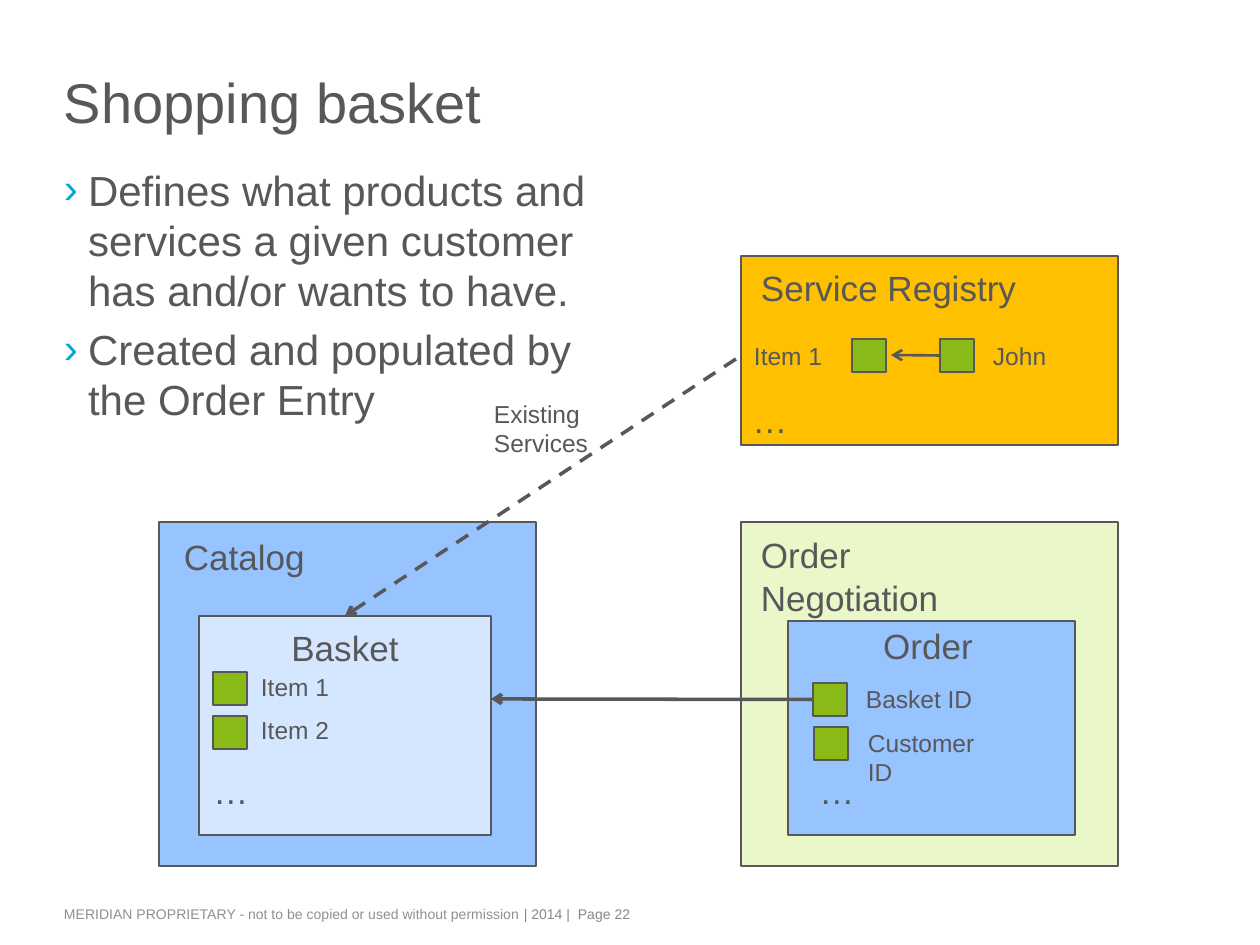
from lxml import etree
from pptx import Presentation, util as u
from pptx.dml.color import RGBColor
from pptx.enum import dml, shapes, text
from pptx.oxml.ns import qn

PX_PER_INCH = 126
FONT = "Arial"
COLORS = {
    "ink": "58585A", "bullet": "00A9D4", "notice": "8F9093", "page": "87888A",
    "blue": "97C3FF", "pale_blue": "D5E7FF", "pale_green": "EAF8C9",
    "amber": "FFC000", "green": "89BA17",
}
PANEL_WIDTH = 377
HEADING, LABEL = 20, 14


def px(value):
    return u.Emu(round(value * 914400 / PX_PER_INCH))


def rgb(name):
    return RGBColor.from_string(COLORS[name])


def style_font(font, size, color="ink"):
    font.name = FONT
    font.size = u.Pt(size)
    font.color.rgb = rgb(color)


def add_frame(page, left, top, width, height, inset=(13, 6)):
    frame = page.shapes.add_textbox(*map(px, (left, top, width, height))).text_frame
    frame.word_wrap = True
    frame.margin_left = frame.margin_right = px(inset[0])
    frame.margin_top = frame.margin_bottom = px(inset[1])
    return frame


def add_label(page, words, left, top, width=163, height=43, size=LABEL, centered=False):
    para = add_frame(page, left, top, width, height).paragraphs[0]
    para.text = words
    para.alignment = text.PP_ALIGN.CENTER if centered else text.PP_ALIGN.LEFT
    style_font(para.font, size)


def add_heading(page, words, left, top, width, centered=False):
    add_label(page, words, left, top, width, 50, HEADING, centered)


def add_ellipsis(page, left, top):
    add_heading(page, "…", left, top, 68, centered=True)


def add_box(page, fill, left, top, width, height):
    box = page.shapes.add_shape(
        shapes.MSO_SHAPE.RECTANGLE, *map(px, (left, top, width, height)))
    box.shadow.inherit = False
    box.fill.solid()
    box.fill.fore_color.rgb = rgb(fill)
    box.line.color.rgb = rgb("ink")
    box.line.width = u.Pt(0.75)
    return box


def add_square(page, left, top):
    return add_box(page, "green", left, top, 34, 33)


def add_arrow(page, start, end, width=2, dashed=False):
    arrow = page.shapes.add_connector(
        shapes.MSO_CONNECTOR.STRAIGHT, *map(px, start + end))
    arrow.line.color.rgb = rgb("ink")
    arrow.line.width = u.Pt(width)
    if dashed:
        arrow.line.dash_style = dml.MSO_LINE.DASH
    etree.SubElement(arrow.line._get_or_add_ln(), qn("a:tailEnd"), type="arrow")
    etree.SubElement(arrow._element.spPr, qn("a:effectLst"))
    return arrow


def add_bullet(para, indent):
    props = para._p.get_or_add_pPr()
    props.set("marL", str(px(indent)))
    props.set("indent", str(-px(indent)))
    color = etree.SubElement(props, qn("a:buClr"))
    etree.SubElement(color, qn("a:srgbClr"), val=COLORS["bullet"])
    etree.SubElement(props, qn("a:buFont"), typeface=FONT)
    etree.SubElement(props, qn("a:buChar"), char="›")


def add_title(page):
    frame = add_frame(page, 54, 33, 1033, 150, inset=(10, 0))
    frame.vertical_anchor = text.MSO_ANCHOR.MIDDLE
    para = frame.paragraphs[0]
    para.text = "Shopping basket"
    para.line_spacing = 0.75
    style_font(para.font, 32)


def add_body(page):
    frame = add_frame(page, 54, 164, 566, 281, inset=(10, 0))
    frame.text = (
        "Defines what products and services a given customer has and/or wants to have.\n"
        "Created and populated by the Order Entry")
    for para in frame.paragraphs:
        para.space_before = u.Pt(4.8)
        style_font(para.font, 24)
        add_bullet(para, 24)


def add_footer(page):
    para = add_frame(page, 54, 900, 1019, 30, inset=(10, 6)).paragraphs[0]
    for words, color in (
        ("MERIDIAN PROPRIETARY - not to be copied or used without permission ", "notice"),
        ("| 2014 |  Page 22", "page"),
    ):
        span = para.add_run()
        span.text = words
        style_font(span.font, 8, color)


def add_catalog(page):
    add_box(page, "blue", 159, 522, PANEL_WIDTH, 344)
    add_heading(page, "Catalog", 171, 530, 192)
    basket = add_box(page, "pale_blue", 199, 616, 292, 219)
    add_heading(page, "Basket", 248, 621, 194, centered=True)
    for row, words in enumerate(("Item 1", "Item 2")):
        add_square(page, 213, 672 + 44 * row)
        add_label(page, words, 248, 666 + 43 * row)
    add_ellipsis(page, 197, 764)
    return basket


def add_negotiation(page):
    add_box(page, "pale_green", 741, 522, PANEL_WIDTH, 344)
    add_heading(page, "Order Negotiation", 748, 528, 292)
    add_box(page, "blue", 788, 621, 287, 214)
    add_heading(page, "Order ", 837, 619, 192, centered=True)
    squares = []
    for row, words in enumerate(("Basket ID", "Customer ID")):
        squares.append(add_square(page, 813 + row, 683 + 44 * row))
        add_label(page, words, 853 + 2 * row, 678 + 44 * row)
    add_ellipsis(page, 803, 764)
    return squares[0]


def add_registry(page):
    add_box(page, "amber", 741, 256, PANEL_WIDTH, 189)
    add_heading(page, "Service Registry", 748, 261, 292)
    add_label(page, "Item 1", 741, 335)
    add_square(page, 852, 339)
    customer = add_square(page, 940, 339)
    add_label(page, "John", 980, 335)
    add_arrow(page, (940, 355), (891, 355), 1.5).begin_connect(customer, 1)
    add_ellipsis(page, 736, 393)


def main():
    deck = Presentation()
    deck.slide_width, deck.slide_height = u.Inches(10), u.Inches(7.5)
    page = deck.slides.add_slide(deck.slide_layouts[6])
    add_footer(page)
    add_body(page)
    add_title(page)
    basket = add_catalog(page)
    basket_id = add_negotiation(page)
    add_arrow(page, (813, 699), (491, 699)).begin_connect(basket_id, 1)
    add_registry(page)
    add_arrow(page, (736, 359), (345, 616), dashed=True).end_connect(basket, 0)
    add_label(page, "Existing Services", 481, 393, height=72)
    deck.save("out.pptx")


if __name__ == "__main__":
    main()
